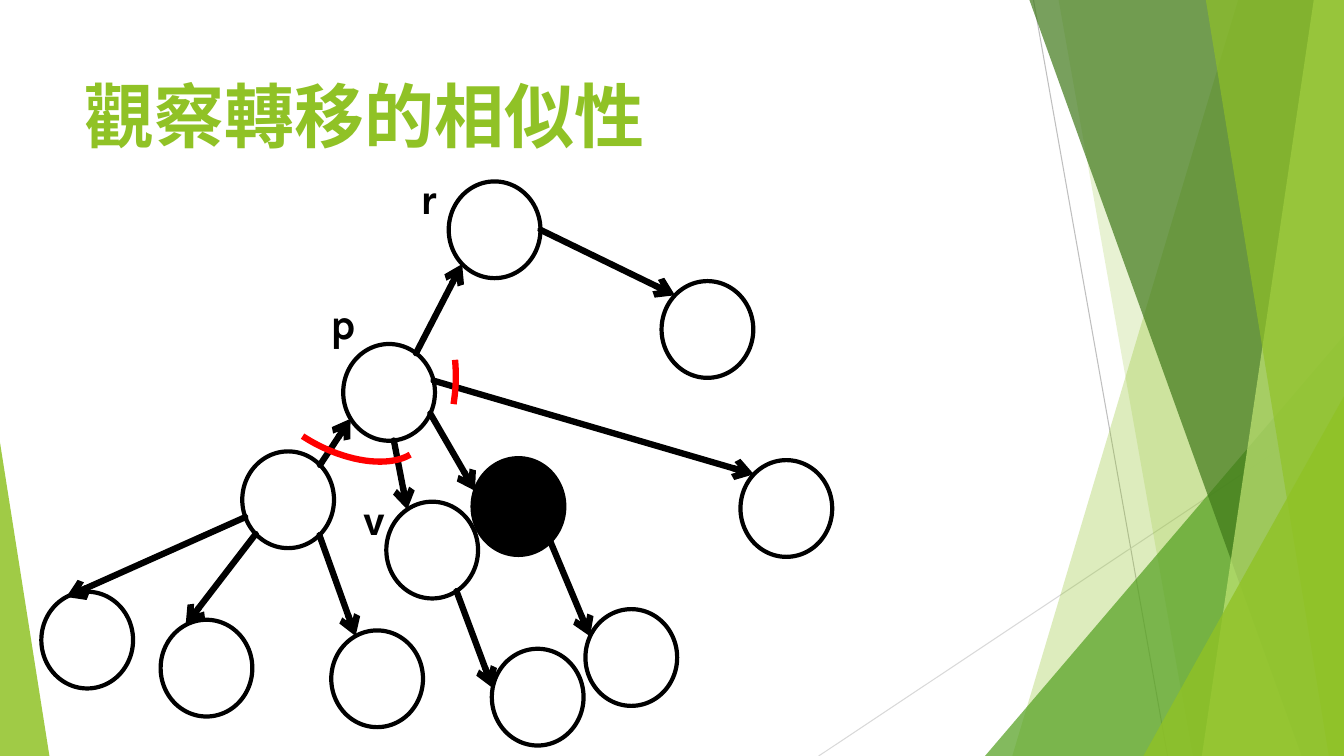
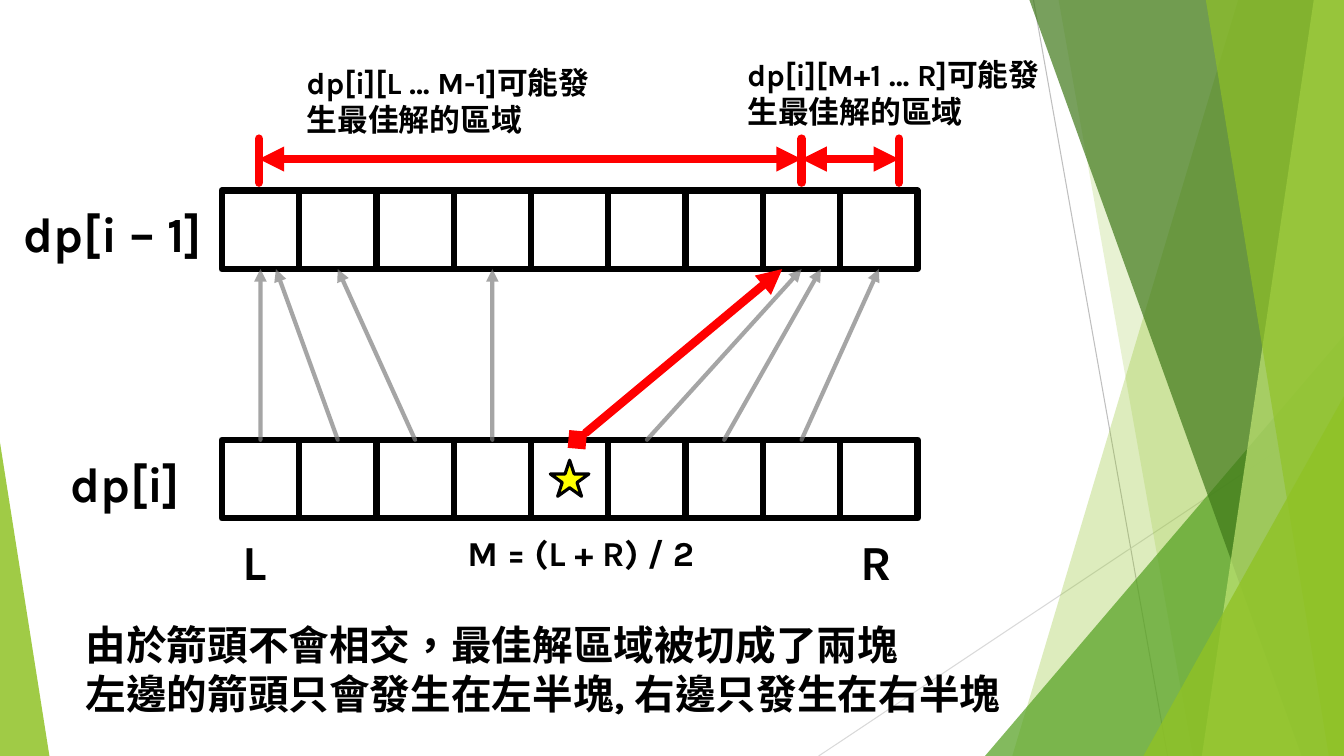
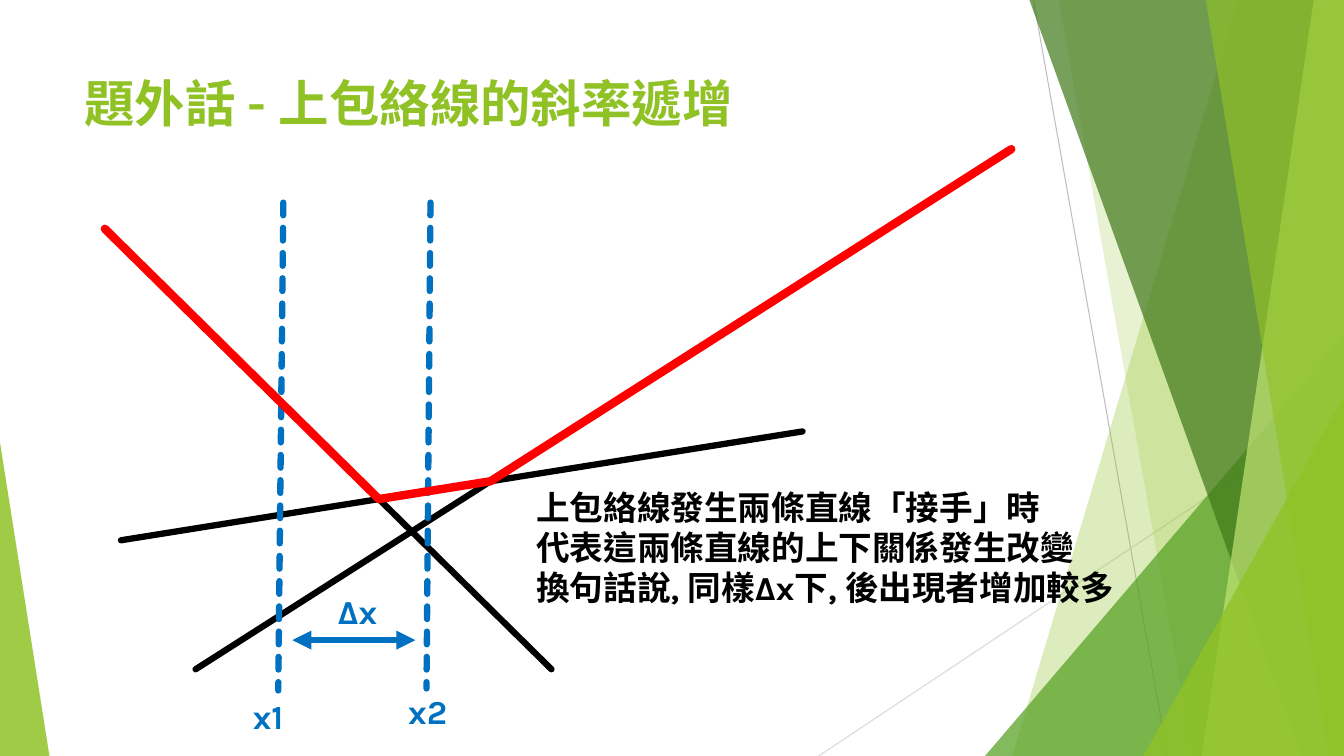
from dataclasses import dataclass
from itertools import pairwise
from math import cos, radians, sin

from lxml.etree import SubElement
from pptx import Presentation
from pptx.dml.color import RGBColor
from pptx.enum.dml import MSO_LINE
from pptx.enum.lang import MSO_LANGUAGE_ID
from pptx.enum.shapes import MSO_CONNECTOR, MSO_SHAPE
from pptx.enum.text import MSO_AUTO_SIZE
from pptx.oxml.ns import qn
from pptx.util import Inches, Pt


@dataclass(frozen=True)
class Theme:
    font: str = "Karla"
    ink: str = "000000"
    accent: str = "90C226"
    leaf: str = "54A021"
    forest: str = "3F7819"
    lime: str = "C0E474"
    red: str = "FF0000"
    blue: str = "0070C0"
    star: str = "FFFF00"
    grey: str = "7F7F7F"
    rule_dark: str = "BFBFBF"
    rule_light: str = "D9D9D9"
    title: int = 50
    subtitle: int = 36
    row_name: int = 35
    node_name: int = 30
    conclusion: int = 29
    formula: int = 25
    body: int = 24
    caption: int = 22
    hairline: float = 0.75
    thin: float = 2.25
    medium: float = 3
    thick: float = 4.5
    heavy: float = 6


@dataclass(frozen=True)
class Grid:
    """An origin with a column width and a row height, all in inches."""
    left: float
    top: float
    column: float = 1
    row: float = 1

    def point(self, column, row):
        return (Inches(self.left + column * self.column),
                Inches(self.top + row * self.row))

    def box(self, column, row, columns, rows):
        return (*self.point(column, row),
                Inches(columns * self.column), Inches(rows * self.row))


THEME = Theme()
WIDTH, HEIGHT = 13.33, 7.5
PAGE = Grid(0, 0)


def set_alpha(shape, percent):
    for colour in shape._element.spPr.iter(qn("a:srgbClr")):
        SubElement(colour, qn("a:alpha"), val=str(percent * 1000))


def paint(shape, fill=None, line=None, weight=THEME.medium):
    shape.shadow.inherit = False
    for part, colour in ((shape.fill, fill), (shape.line.fill, line)):
        if colour:
            part.solid()
            part.fore_color.rgb = RGBColor.from_string(colour)
        else:
            part.background()
    if line:
        shape.line.width = Pt(weight)
    return shape


def add_figure(slide, preset, box, **look):
    return paint(slide.shapes.add_shape(preset, *box), **look)


def add_line(slide, start, end, colour=THEME.ink, weight=THEME.thick,
             head=None, tail=None, dash=None, alpha=None):
    """Draw a round-capped line; head is the mark at start, tail at end."""
    connector = slide.shapes.add_connector(MSO_CONNECTOR.STRAIGHT, *start, *end)
    connector.line.color.rgb = RGBColor.from_string(colour)
    connector.line.width = Pt(weight)
    if dash:
        connector.line.dash_style = dash
    outline = connector.line._get_or_add_ln()
    outline.set("cap", "rnd")
    for tag, mark in (("a:headEnd", head), ("a:tailEnd", tail)):
        if mark:
            SubElement(outline, qn(tag), type=mark)
    SubElement(connector._element.spPr, qn("a:effectLst"))
    if alpha:
        set_alpha(connector, alpha)


def add_text(slide, position, width, paragraphs, size, colour=THEME.ink,
             wrap=True):
    """Place a text box as high as its paragraphs; width is in inches."""
    height = len(paragraphs) * size * 1.2 / 72 + 0.1
    frame = slide.shapes.add_textbox(
        *position, Inches(width), Inches(height)).text_frame
    frame.word_wrap = wrap
    frame.auto_size = MSO_AUTO_SIZE.SHAPE_TO_FIT_TEXT
    look = {"name": THEME.font, "size": Pt(size), "bold": True,
            "language_id": MSO_LANGUAGE_ID.TRADITIONAL_CHINESE}
    for index, wording in enumerate(paragraphs):
        paragraph = frame.add_paragraph() if index else frame.paragraphs[0]
        run = paragraph.add_run()
        run.text = wording
        for name, value in look.items():
            setattr(run.font, name, value)
        run.font.color.rgb = RGBColor.from_string(colour)


def add_title(slide, wording, size):
    add_text(slide, PAGE.point(0.74, 0.67), 9.4, [wording], size, THEME.accent)


def add_facet(slide, top_x, bottom_x, colour, alpha):
    """Fill from a slanted left side to the right edge of the slide."""
    corners = [PAGE.point(*corner) for corner in (
        (top_x, 0), (WIDTH, 0), (WIDTH, HEIGHT), (bottom_x, HEIGHT))]
    outline = slide.shapes.build_freeform(*corners[0], scale=1.0)
    outline.add_line_segments(corners[1:], close=True)
    set_alpha(paint(outline.convert_to_shape(), fill=colour), alpha)


def add_wedge(slide, left, top, width, apex, colour, alpha):
    """Fill a triangle that stands on the bottom edge of the slide."""
    wedge = add_figure(slide, MSO_SHAPE.ISOSCELES_TRIANGLE,
                       PAGE.box(left, top, width, HEIGHT - top), fill=colour)
    wedge.adjustments[0] = apex
    set_alpha(wedge, alpha)


def decorate_layout(layout, slide):
    """Draw the green bands on an empty slide and move them to its layout."""
    for placeholder in list(layout.placeholders):
        layout.shapes.element.remove(placeholder.element)
    for start, end, colour in (
            ((10.25, 0), (11.58, HEIGHT), THEME.rule_dark),
            ((WIDTH, 4.03), (8.12, HEIGHT), THEME.rule_light)):
        add_line(slide, PAGE.point(*start), PAGE.point(*end), colour,
                 THEME.hairline)
    add_facet(slide, 12.28, 10.04, THEME.accent, 30)
    add_facet(slide, 10.5, 11.83, THEME.accent, 20)
    add_wedge(slide, 9.77, 3.33, 3.56, 1, THEME.leaf, 72)
    add_facet(slide, 10.21, 12.91, THEME.forest, 70)
    add_facet(slide, 13.03, 11.92, THEME.lime, 70)
    add_facet(slide, 11.96, 13.18, THEME.accent, 65)
    add_wedge(slide, 11.34, 3.93, 1.99, 1, THEME.accent, 80)
    add_wedge(slide, 0, 4.39, 0.49, 0, THEME.accent, 85)
    for band in list(slide.shapes):
        layout.shapes.element.append(band.element)


# Top left corner of each node, in node widths and heights
NODES = {
    "r": (4.44, 0), "p": (3.29, 1.68), "v": (3.76, 3.31),
    "black": (4.7, 2.86), "sibling": (2.19, 2.79),
    "r child": (6.76, 1.03), "p child": (7.62, 2.88),
    "v child": (4.91, 4.83), "black child": (5.93, 4.42),
    "leaf 1": (0, 4.24), "leaf 2": (1.3, 4.53), "leaf 3": (3.16, 4.64),
}
# Each end is a node and the clockwise angle of the point on its rim
EDGES = [
    ("p", -54, "r", 135), ("r", 0, "r child", 225),
    ("p", -14, "p child", 225), ("p", 26, "black", 199),
    ("p", 84, "v", 237), ("sibling", -46, "p", 147),
    ("sibling", 159, "leaf 1", 243), ("sibling", 135, "leaf 2", 243),
    ("sibling", 47, "leaf 3", 242), ("v", 58, "v child", 191),
    ("black", 46, "black child", 206),
]
NODE_NAMES = {"r": (-0.42, -0.14), "p": (-0.25, -0.53), "v": (-0.36, -0.14)}


def draw_tree(slide, grid):
    def rim(node, angle):
        column, row = NODES[node]
        return grid.point(column + 0.5 + cos(radians(angle)) / 2,
                          row + 0.5 + sin(radians(angle)) / 2)

    for node, corner in NODES.items():
        add_figure(slide, MSO_SHAPE.OVAL, grid.box(*corner, 1, 1),
                   fill=THEME.ink if node == "black" else None, line=THEME.ink)
    for parent, leaving, child, arriving in EDGES:
        add_line(slide, rim(parent, leaving), rim(child, arriving),
                 tail="arrow")
    for node, (across, down) in NODE_NAMES.items():
        column, row = NODES[node]
        add_text(slide, grid.point(column + across, row + down), 0.42, [node],
                 THEME.node_name, wrap=False)

    column, row = NODES["p"]
    for across, down, turn, sweep in ((-0.36, -0.11, 94.1, (143.93, 172.49)),
                                      (-1.07, 0.03, 208.3, (114.09, 171.33))):
        cut = add_figure(slide, MSO_SHAPE.ARC,
                         grid.box(column + across, row + down, 2.05, 1.06),
                         line=THEME.red, weight=THEME.thick)
        cut.rotation = turn
        cut.adjustments[0], cut.adjustments[1] = sweep


CELLS = 9
LOWER_ROW = 3.17
# Column of each lower cell and where its arrow meets the upper row
TRANSITIONS = {0: 0.5, 1: 0.7, 2: 1.5, 3: 3.5, 5: 7.5, 6: 7.75, 7: 8.5}


def draw_rows(slide, grid):
    for row in (0, LOWER_ROW):
        for column in range(CELLS):
            add_figure(slide, MSO_SHAPE.RECTANGLE, grid.box(column, row, 1, 1),
                       line=THEME.ink, weight=THEME.thick)
    for source, target in TRANSITIONS.items():
        add_line(slide, grid.point(source + 0.5, LOWER_ROW),
                 grid.point(target, 1), THEME.grey, THEME.medium,
                 tail="triangle", alpha=70)
    add_line(slide, grid.point(4.6, LOWER_ROW), grid.point(7.25, 1),
             THEME.red, THEME.heavy, head="diamond", tail="triangle")
    add_figure(slide, MSO_SHAPE.STAR_5_POINT,
               grid.box(4.25, LOWER_ROW + 0.26, 0.5, 0.46),
               fill=THEME.star, line=THEME.ink, weight=THEME.thin)


def draw_ranges(slide, grid):
    bounds = (0.48, 7.5, 8.76)
    for column in bounds:
        add_line(slide, grid.point(column, -0.66), grid.point(column, -0.1),
                 THEME.red, THEME.heavy)
    for start, end in pairwise(bounds):
        add_line(slide, grid.point(start, -0.4), grid.point(end, -0.4),
                 THEME.red, THEME.heavy, head="triangle", tail="triangle")


def label_rows(slide, grid):
    for column, row, columns, size, paragraphs in (
            (-2.69, 0.1, 3.34, THEME.row_name, ["dp[i – 1]"]),
            (-2.09, 3.28, 3.34, THEME.row_name, ["dp[i]"]),
            (0.14, 4.28, 1.87, THEME.row_name, ["L"]),
            (3.05, 4.28, 4.02, THEME.formula, ["M = (L + R) / 2"]),
            (8.13, 4.28, 1.87, THEME.row_name, ["R"]),
            (0.97, -1.68, 4.36, THEME.caption,
             ["dp[i][L … M-1]可能發", "生最佳解的區域"]),
            (6.67, -1.78, 4.64, THEME.caption,
             ["dp[i][M+1 … R]可能發", "生最佳解的區域"])):
        add_text(slide, grid.point(column, row), columns * grid.column,
                 paragraphs, size)


def crossing(first, second):
    """Return the point where two lines, each given by two points, meet."""
    (x1, y1), (x2, y2) = first
    (x3, y3), (x4, y4) = second
    slope, other = (y2 - y1) / (x2 - x1), (y4 - y3) / (x4 - x3)
    x = (y3 - y1 + slope * x1 - other * x3) / (slope - other)
    return x, y1 + slope * (x - x1)


def draw_envelope(slide, grid):
    falling = ((0, 0.79), (4.43, 5.16))
    middle = ((0.16, 3.88), (6.92, 2.8))
    rising = ((0.9, 5.16), (8.99, 0))
    hull = (falling[0], crossing(falling, middle), crossing(middle, rising),
            rising[1])
    guides = (((1.77, 0.53), (1.72, 5.37)), ((3.23, 0.53), (3.19, 5.35)))
    plain = {}
    dashed = {"colour": THEME.blue, "dash": MSO_LINE.SQUARE_DOT}
    upper = {"colour": THEME.red, "weight": THEME.heavy}
    for lines, look in (((falling, middle, rising), plain), (guides, dashed),
                        (pairwise(hull), upper)):
        for start, end in lines:
            add_line(slide, grid.point(*start), grid.point(*end), **look)

    add_line(slide, grid.point(1.86, 4.87), grid.point(3.08, 4.87), THEME.blue,
             head="triangle", tail="triangle")
    for wording, column, row in (("x1", 1.37, 5.37), ("x2", 2.91, 5.33),
                                 ("Δx", 2.21, 4.33)):
        add_text(slide, grid.point(column, row), 0.71, [wording], THEME.body,
                 THEME.blue)
    add_text(slide, grid.point(4.18, 3.3), 6.18, [
        "上包絡線發生兩條直線「接手」時",
        "代表這兩條直線的上下關係發生改變",
        "換句話說, 同樣Δx下, 後出現者增加較多"], THEME.body)


def build_similarity(slide):
    add_title(slide, "觀察轉移的相似性", THEME.title)
    draw_tree(slide, Grid(0.41, 1.8, 0.91, 0.96))


def build_division(slide):
    grid = Grid(2.2, 1.89, 6.9 / CELLS, 0.78)
    draw_rows(slide, grid)
    draw_ranges(slide, grid)
    label_rows(slide, grid)
    add_text(slide, PAGE.point(0.75, 6.1), 9.61, [
        "由於箭頭不會相交，最佳解區域被切成了兩塊",
        "左邊的箭頭只會發生在左半塊, 右邊只發生在右半塊"], THEME.conclusion)


def build_hull(slide):
    add_title(slide, "題外話 - 上包絡線的斜率遞增", THEME.subtitle)
    draw_envelope(slide, Grid(1.04, 1.48))


def main():
    deck = Presentation()
    deck.slide_width, deck.slide_height = Inches(WIDTH), Inches(HEIGHT)
    blank = deck.slide_layouts[6]
    for index, build in enumerate((build_similarity, build_division,
                                   build_hull)):
        slide = deck.slides.add_slide(blank)
        if index == 0:
            decorate_layout(blank, slide)
        build(slide)
    deck.save("out.pptx")


if __name__ == "__main__":
    main()
